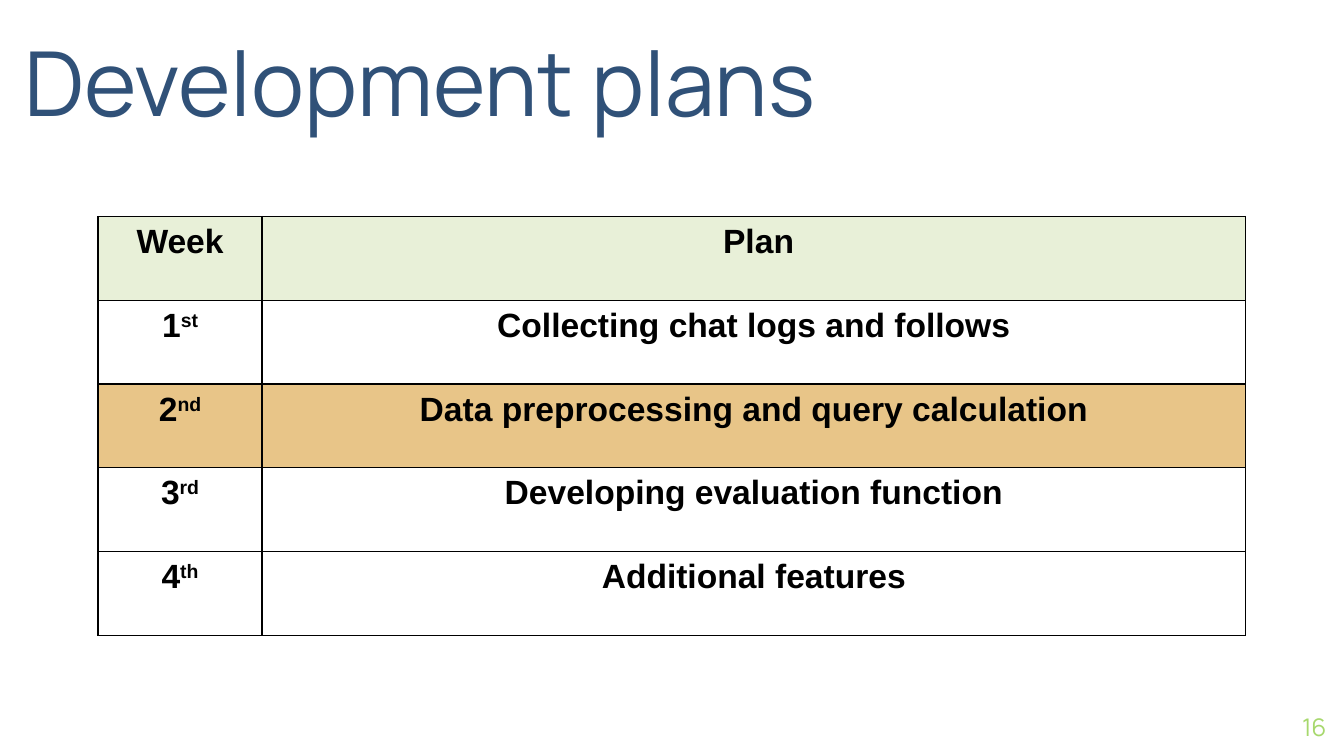
from dataclasses import dataclass

from lxml import etree
from pptx import Presentation
from pptx import util as u
from pptx.dml.color import RGBColor
from pptx.enum import text as t
from pptx.oxml import ns

BLACK = RGBColor(0x00, 0x00, 0x00)
WHITE = RGBColor(0xFF, 0xFF, 0xFF)
NAVY = RGBColor(0x30, 0x51, 0x78)
LIME = RGBColor(0xA7, 0xD8, 0x6D)
PALE_GREEN = RGBColor(0xE8, 0xF0, 0xD8)
SAND = RGBColor(0xE8, 0xC5, 0x88)


@dataclass
class PlanRow:
    week: str
    plan: str
    suffix: str = ""
    fill: RGBColor = WHITE


PLAN_ROWS = [
    PlanRow("Week", " Plan", fill=PALE_GREEN),
    PlanRow("1", "Collecting chat logs and follows", "st"),
    PlanRow("2", "Data preprocessing and query calculation", "nd", SAND),
    PlanRow("3", "Developing evaluation function", "rd"),
    PlanRow("4", "Additional features", "th"),
]


def add_span(para, words: str, *, size: float, font: str, color: RGBColor,
             bold: bool = False, raised: bool = False) -> None:
    span = para.add_run()
    span.text = words
    span.font.size = u.Pt(size)
    span.font.name = font
    span.font.color.rgb = color
    span.font.bold = bold
    if raised:
        span.font._element.set("baseline", "30000")


def fill_box(box, words: str, *, align, anchor, **style) -> None:
    frame = box.text_frame
    frame.word_wrap = True
    frame.auto_size = t.MSO_AUTO_SIZE.NONE
    frame.vertical_anchor = anchor
    frame.margin_left = frame.margin_right = 0
    frame.margin_top = frame.margin_bottom = 0
    para = frame.paragraphs[0]
    para.alignment = align
    add_span(para, words, **style)


def outline_cell(cell, color: RGBColor, width: float) -> None:
    properties = cell._tc.get_or_add_tcPr()
    for position, side in enumerate(("lnL", "lnR", "lnT", "lnB")):
        line = etree.Element(ns.qn(f"a:{side}"), w=str(u.Pt(width)))
        solid = etree.SubElement(line, ns.qn("a:solidFill"))
        etree.SubElement(solid, ns.qn("a:srgbClr"), val=str(color))
        properties.insert(position, line)


def fill_cell(cell, words: str, suffix: str, fill: RGBColor) -> None:
    cell.fill.solid()
    cell.fill.fore_color.rgb = fill
    outline_cell(cell, BLACK, 0.75)
    para = cell.text_frame.paragraphs[0]
    para.alignment = t.PP_ALIGN.CENTER
    style = dict(size=18, font="Arial", color=BLACK, bold=True)
    add_span(para, words, **style)
    if suffix:
        add_span(para, suffix, raised=True, **style)


def add_plan_table(page, rows: list[PlanRow]) -> None:
    table = page.shapes.add_table(
        len(rows), 2, u.Inches(0.73), u.Inches(1.61),
        u.Inches(8.54), u.Inches(3.12)).table
    table.first_row = table.horz_banding = False
    table.columns[0].width = u.Inches(1.22)
    table.columns[1].width = u.Inches(7.32)
    for index, row in enumerate(rows):
        fill_cell(table.cell(index, 0), row.week, row.suffix, row.fill)
        fill_cell(table.cell(index, 1), row.plan, "", row.fill)


def main() -> None:
    # Widescreen page, 16:9
    deck = Presentation()
    deck.slide_width, deck.slide_height = u.Inches(10), u.Inches(10 * 9 / 16)
    page = deck.slides.add_slide(deck.slide_layouts[5])

    # Page number
    number = page.shapes.add_textbox(
        u.Inches(9.27), u.Inches(5.19), u.Inches(0.6), u.Inches(0.43))
    fill_box(number, "16", align=t.PP_ALIGN.RIGHT, anchor=t.MSO_ANCHOR.MIDDLE,
             size=13, font="Manrope", color=LIME)

    # Title
    title = page.shapes.title
    title.left, title.top = u.Inches(0.18), u.Inches(0.06)
    title.width, title.height = u.Inches(6.89), u.Inches(0.94)
    fill_box(title, "Development plans", align=t.PP_ALIGN.LEFT,
             anchor=t.MSO_ANCHOR.BOTTOM, size=48, font="Manrope", color=NAVY)

    # Weekly plan
    add_plan_table(page, PLAN_ROWS)

    deck.save("out.pptx")


if __name__ == "__main__":
    main()
